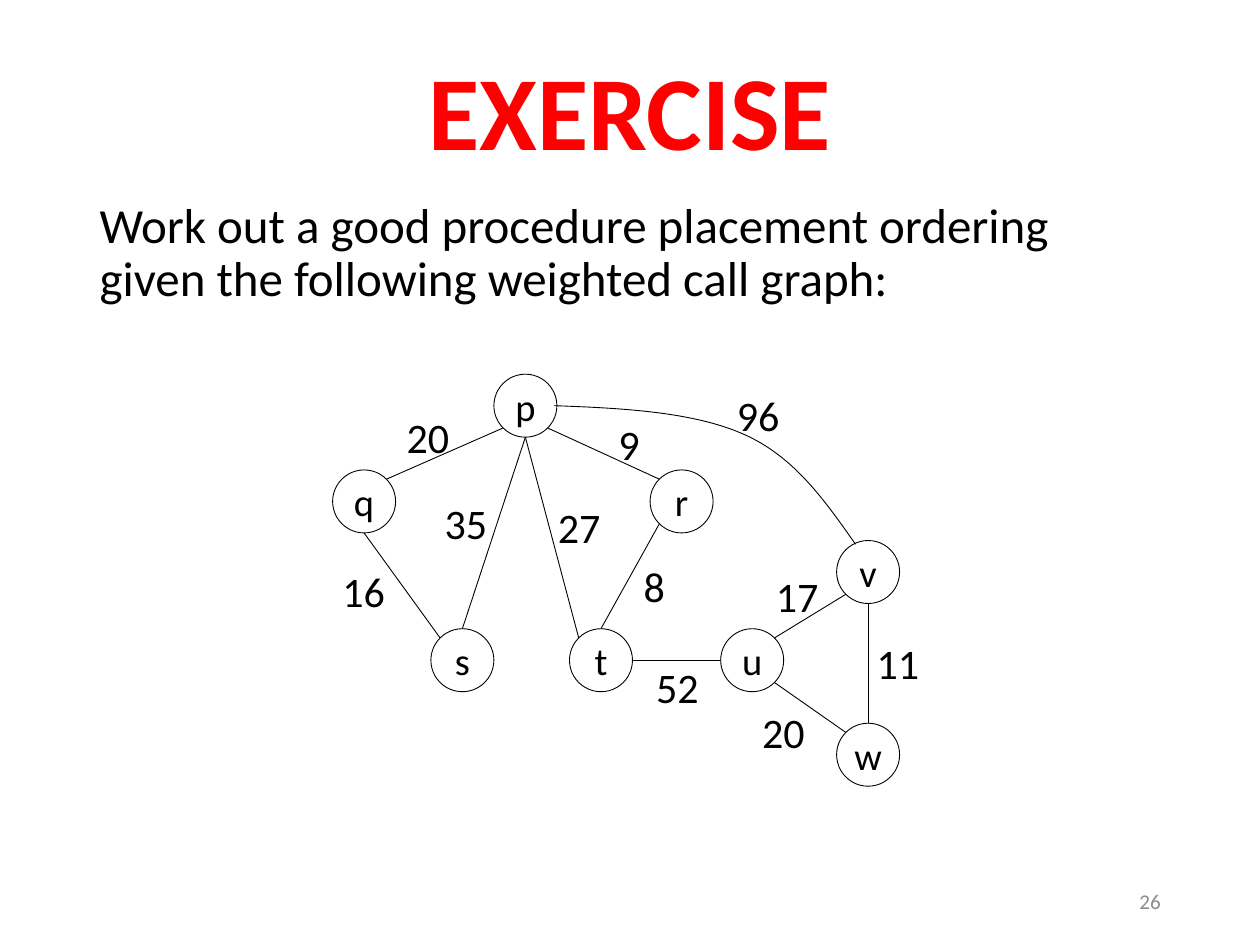
import math

import pptx
import pptx.dml.color
import pptx.enum.shapes
import pptx.enum.text
import pptx.oxml
import pptx.oxml.ns
import pptx.util
from pptx.util import Inches

FONT = "Calibri"
BLACK = "000000"
ALIGN = pptx.enum.text.PP_ALIGN
ANCHOR = pptx.enum.text.MSO_ANCHOR
DIAMETER = 0.5

NODES = {
    "p": (1.3, 0), "q": (0.02, 0.76), "r": (2.54, 0.76), "s": (0.8, 2.02),
    "t": (1.9, 2.02), "u": (3.1, 2.02), "v": (4.02, 1.32), "w": (4.02, 2.77),
}
SIDES = {
    "right": 0, "bottom right": 45, "bottom": 90, "bottom left": 135,
    "left": 180, "top left": 225, "top": 270, "top right": 315,
}
EDGES = [
    ("p", "bottom left", "q", "top right", "20", (0.51, 0.25)),
    ("p", "bottom", "s", "top", "35", (0.81, 0.93)),
    ("s", "top left", "q", "bottom", "16", (0, 1.47)),
    ("p", "bottom right", "r", "top left", "9", (2.19, 0.3)),
    ("p", "bottom", "t", "top left", "27", (1.71, 0.96)),
    ("r", "bottom left", "t", "top", "8", (2.39, 1.43)),
    ("u", "left", "t", "right", "52", (2.49, 2.23)),
    ("v", "bottom left", "u", "top right", "17", (3.44, 1.51)),
    ("v", "bottom", "w", "top", "11", (4.24, 2.04)),
    ("w", "top left", "u", "bottom right", "20", (3.33, 2.59)),
]
CURVE_START = (1.78, 0.25)
CURVE_POINTS = [
    (2.33, 0.27), (2.89, 0.3), (3.29, 0.48),
    (3.69, 0.66), (3.93, 1.01), (4.17, 1.35),
]
CURVE_WEIGHT = ("96", (3.13, 0.07))


def color(hex_code):
    """Turn a hex string into a colour."""
    return pptx.dml.color.RGBColor.from_string(hex_code)


def write(frame, text, size, hex_code=BLACK, align=ALIGN.LEFT, bold=False):
    """Put one formatted run in a frame and return its paragraph."""
    paragraph = frame.paragraphs[0]
    paragraph.alignment = align
    run = paragraph.add_run()
    run.text = text
    run.font.name = FONT
    run.font.size = pptx.util.Pt(size)
    run.font.bold = bold
    run.font.color.rgb = color(hex_code)
    return paragraph


def outline(item):
    """Give a shape or connector the thin black line."""
    item.line.color.rgb = color(BLACK)
    item.line.width = pptx.util.Pt(0.5)


def place(placeholder, left, top, width, height, anchor):
    """Move a placeholder and return its text frame."""
    placeholder.left, placeholder.top = Inches(left), Inches(top)
    placeholder.width, placeholder.height = Inches(width), Inches(height)
    frame = placeholder.text_frame
    frame.word_wrap = True
    frame.auto_size = pptx.enum.text.MSO_AUTO_SIZE.NONE
    frame.vertical_anchor = anchor
    return frame


def add_title(slide, left, top, width, height):
    """Fill the title placeholder."""
    frame = place(slide.shapes.title, left, top, width, height, ANCHOR.MIDDLE)
    write(frame, "EXERCISE", 60, "FF0000", ALIGN.CENTER, True).line_spacing = 0.9


def add_task(slide, left, top, width, height):
    """Fill the body placeholder with the unbulleted task."""
    frame = place(slide.placeholders[1], left, top, width, height, ANCHOR.TOP)
    paragraph = write(frame, "Work out a good procedure placement ordering "
                             "given the following weighted call graph:", 28)
    paragraph.line_spacing = 0.9
    paragraph.space_before = pptx.util.Pt(10)
    paragraph.space_after = pptx.util.Pt(12)
    properties = paragraph._p.get_or_add_pPr()
    properties.set("marL", "0")
    properties.set("indent", "0")
    bullet = pptx.oxml.ns.qn("a:buNone")
    properties.append(properties.makeelement(bullet, {}))


def add_page_number(slide, left, top, width, height):
    """Write the page number at the right of its box."""
    box = slide.shapes.add_textbox(
        Inches(left), Inches(top), Inches(width), Inches(height))
    box.text_frame.word_wrap = True
    box.text_frame.vertical_anchor = ANCHOR.MIDDLE
    write(box.text_frame, "26", 12, "8C8C8C", ALIGN.RIGHT)


def add_node(slide, left, top, name):
    """Draw one procedure as a circle with its name."""
    node = slide.shapes.add_shape(
        pptx.enum.shapes.MSO_SHAPE.OVAL, Inches(left), Inches(top),
        Inches(DIAMETER), Inches(DIAMETER))
    node.shadow.inherit = False
    node.fill.background()
    outline(node)
    frame = node.text_frame
    frame.margin_left = frame.margin_right = 0
    frame.margin_top = frame.margin_bottom = 0
    frame.word_wrap = False
    frame.vertical_anchor = ANCHOR.MIDDLE
    write(frame, name, 22, align=ALIGN.CENTER)


def rim_point(left, top, name, side):
    """Find a point on a node's rim, for a graph at left and top."""
    angle = math.radians(SIDES[side])
    x, y = NODES[name]
    radius = DIAMETER / 2
    return (Inches(left + x + radius + radius * math.cos(angle)),
            Inches(top + y + radius + radius * math.sin(angle)))


def add_edge(slide, start, end):
    """Draw a straight call edge."""
    edge = slide.shapes.add_connector(
        pptx.enum.shapes.MSO_CONNECTOR.STRAIGHT, *start, *end)
    outline(edge)
    properties = edge._element.spPr
    effects = pptx.oxml.ns.qn("a:effectLst")
    properties.append(properties.makeelement(effects, {}))


def add_curved_edge(slide, left, top):
    """Draw the curved call edge from p to v as cubic segments."""
    def spot(point):
        return Inches(left + point[0]), Inches(top + point[1])

    builder = slide.shapes.build_freeform(*spot(CURVE_START))
    builder.add_line_segments([spot(point) for point in CURVE_POINTS], close=False)
    curve = builder.convert_to_shape()
    curve.shadow.inherit = False
    curve.fill.background()
    outline(curve)
    segments = curve._element.xpath(".//a:lnTo")
    for first in range(0, len(segments), 3):
        trio = segments[first:first + 3]
        cubic = trio[0].makeelement(pptx.oxml.ns.qn("a:cubicBezTo"), {})
        trio[0].addprevious(cubic)
        for segment in trio:
            cubic.append(segment[0])
            segment.getparent().remove(segment)


def add_weight(slide, left, top, weight):
    """Write the weight of an edge."""
    width = 0.54 if len(weight) == 2 else 0.37
    box = slide.shapes.add_textbox(
        Inches(left), Inches(top), Inches(width), Inches(0.5))
    box.text_frame.word_wrap = False
    write(box.text_frame, weight, 24)


def add_call_graph(slide, left, top):
    """Draw nodes, edges and weights of the graph."""
    for name, (x, y) in NODES.items():
        add_node(slide, left + x, top + y, name)
    for caller, caller_side, callee, callee_side, _, _ in EDGES:
        add_edge(slide, rim_point(left, top, caller, caller_side),
                 rim_point(left, top, callee, callee_side))
    add_curved_edge(slide, left, top)
    for weight, (x, y) in [edge[4:] for edge in EDGES] + [CURVE_WEIGHT]:
        add_weight(slide, left + x, top + y, weight)


def main():
    """Build and save the exercise slide."""
    deck = pptx.Presentation()
    deck.slide_width, deck.slide_height = Inches(10), Inches(7.5)
    slide = deck.slides.add_slide(deck.slide_layouts[1])
    add_title(slide, 0.69, 0.4, 8.62, 1.05)
    add_task(slide, 0.69, 1.55, 8.62, 1)
    add_page_number(slide, 7.06, 6.95, 2.25, 0.4)
    add_call_graph(slide, 2.62, 2.97)
    deck.save("out.pptx")


if __name__ == "__main__":
    main()
